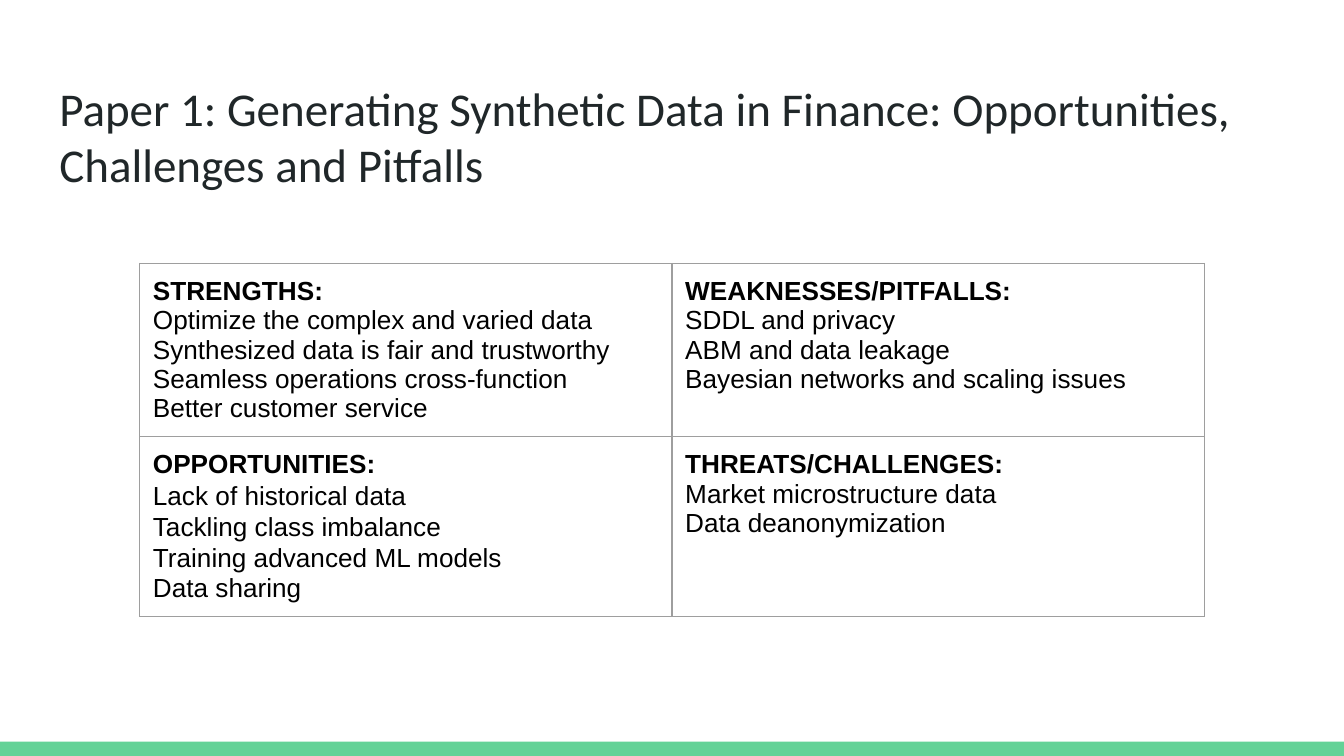
"""Build a SWOT slide for a paper on synthetic data in finance."""
from lxml import etree
from pptx import Presentation
from pptx import util as u
from pptx.dml.color import RGBColor
from pptx.enum import shapes, text
from pptx.oxml.ns import qn


def rgb(value):
    return RGBColor.from_string(value)


def add_borders(cell, color, width):
    tcPr = cell._tc.get_or_add_tcPr()
    for side in ("lnL", "lnR", "lnT", "lnB"):
        ln = etree.SubElement(tcPr, qn(f"a:{side}"), w=str(u.Pt(width)))
        fill = etree.SubElement(ln, qn("a:solidFill"))
        etree.SubElement(fill, qn("a:srgbClr"), val=color)


prs = Presentation()
prs.slide_width, prs.slide_height = u.Cm(25.4), u.Cm(14.29)
s = prs.slides.add_slide(prs.slide_layouts[5])

bar = s.shapes.add_shape(shapes.MSO_SHAPE.RECTANGLE, 0, u.Cm(14.02), prs.slide_width, u.Cm(0.27))
bar.shadow.inherit = False
bar.fill.solid()
bar.fill.fore_color.rgb = rgb("63D297")
bar.line.fill.background()

title = s.shapes.title
title.left, title.top, title.width, title.height = u.Cm(0.87), u.Cm(1.25), u.Cm(23.67), u.Cm(1.6)
tf = title.text_frame
tf.text = "Paper 1: Generating Synthetic Data in Finance: Opportunities, Challenges and Pitfalls"
tf.word_wrap = True
tf.auto_size = text.MSO_AUTO_SIZE.NONE
tf.vertical_anchor = text.MSO_ANCHOR.TOP
tf.margin_left = tf.margin_right = tf.margin_top = tf.margin_bottom = u.Cm(0.25)
p = tf.paragraphs[0]
p.alignment = text.PP_ALIGN.LEFT
font = p.runs[0].font
font.name, font.size, font.color.rgb = "Calibri", u.Pt(25.2), rgb("202729")

swot = [
    [
        ["STRENGTHS:", "Optimize the complex and varied data", "Synthesized data is fair and trustworthy",
         "Seamless operations cross-function", "Better customer service"],
        ["WEAKNESSES/PITFALLS:", "SDDL and privacy", "ABM and data leakage",
         "Bayesian networks and scaling issues"],
    ],
    [
        ["OPPORTUNITIES:", "Lack of historical data", "Tackling class imbalance",
         "Training advanced ML models", "Data sharing"],
        ["THREATS/CHALLENGES:", "Market microstructure data", "Data deanonymization"],
    ],
]
spaced = swot[1][0][1:4]
row_heights = [u.Cm(3.27), u.Cm(3.4)]

frame = s.shapes.add_table(2, 2, u.Cm(2.64), u.Cm(4.98), u.Cm(20.12), sum(row_heights))
table = frame.table
table.first_row = table.horz_banding = False
for row, height in zip(table.rows, row_heights):
    row.height = height

for i, row in enumerate(swot):
    for j, lines in enumerate(row):
        cell = table.cell(i, j)
        add_borders(cell, "9E9E9E", 0.75)
        cell.fill.background()
        cell.margin_left = cell.margin_right = cell.margin_top = cell.margin_bottom = u.Cm(0.25)
        tf = cell.text_frame
        tf.text = "\n".join(lines)
        for k, p in enumerate(tf.paragraphs):
            if p.text in spaced:
                p.line_spacing = 1.07
            font = p.runs[0].font
            font.name, font.size, font.bold = "Arial", u.Pt(14), k == 0
            font.color.rgb = rgb("000000")

prs.save("out.pptx")
